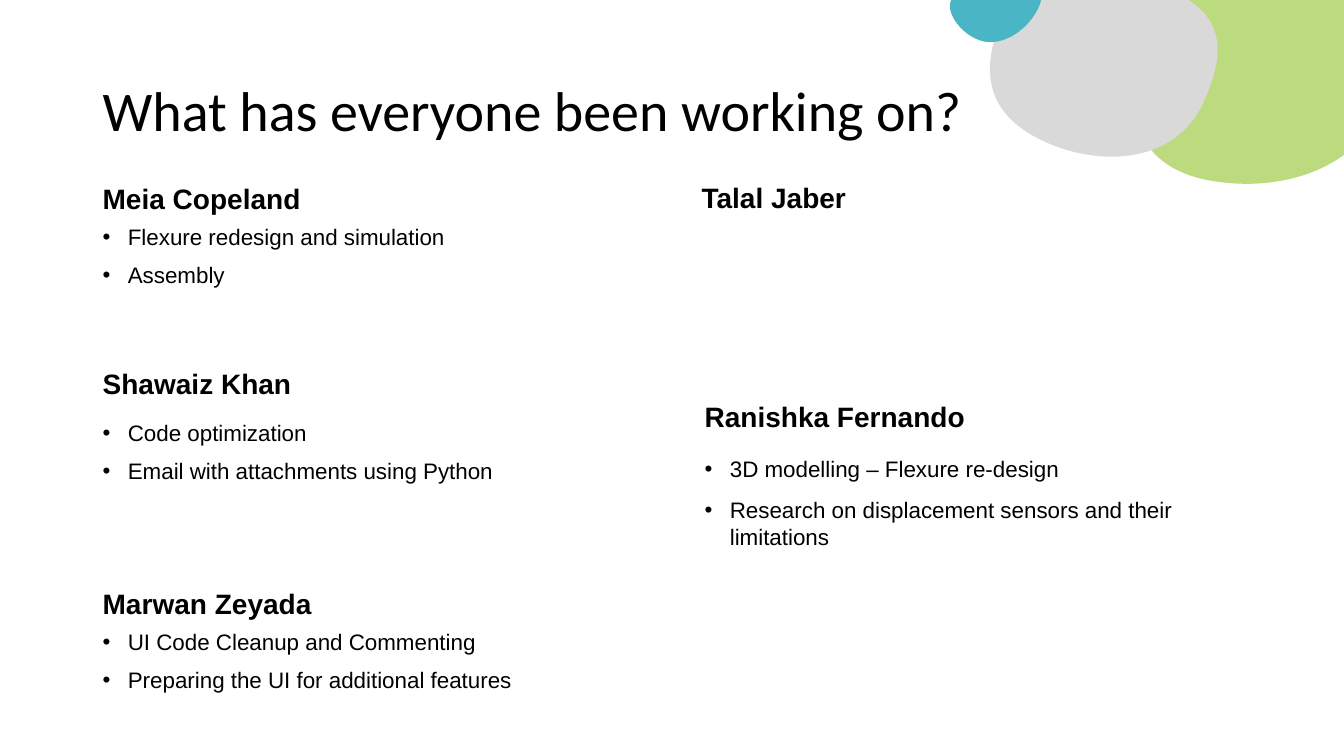
from pptx import Presentation
from pptx import util as u
from pptx.dml.color import RGBColor
from pptx.enum import text
from pptx.oxml import parse_xml
from pptx.oxml.ns import nsdecls, qn

BLACK = RGBColor(0x00, 0x00, 0x00)
GREEN = RGBColor(0xBB, 0xDB, 0x7E)
GREY = RGBColor(0xD9, 0xD9, 0xD9)
TEAL = RGBColor(0x4A, 0xB5, 0xC4)

TITLE = {"name": "Calibri", "size": u.Pt(40)}
NAME = {"name": "Arial", "size": u.Pt(20), "bold": True}
TASK = {"name": "Arial", "size": u.Pt(16)}

prs = Presentation()
prs.slide_width, prs.slide_height = u.Inches(13.33), u.Inches(7.5)
slide = prs.slides.add_slide(prs.slide_layouts[6])


def add_blob(curves, color):
    """Draw a closed outline of cubic curves, each given as two controls and an end."""
    ends = [(u.Inches(x), u.Inches(y)) for _, _, (x, y) in curves]
    fb = slide.shapes.build_freeform(*ends[-1])
    fb.add_line_segments(ends, close=True)
    sp = fb.convert_to_shape()
    sp.shadow.inherit = False
    sp.fill.solid()
    sp.fill.fore_color.rgb = color
    sp.line.fill.background()
    # Bend each straight side into its curve
    for side, curve in zip(list(sp._element.iter(qn("a:lnTo"))), curves):
        pts = "".join(f'<a:pt x="{u.Inches(x) - sp.left}" y="{u.Inches(y) - sp.top}"/>'
                      for x, y in curve)
        bezier = parse_xml(f'<a:cubicBezTo {nsdecls("a")}>{pts}</a:cubicBezTo>')
        side.getparent().replace(side, bezier)


def add_text(box, lines, font, anchor, line_spacing=0.9, space_before=10, bullets=False):
    sp = slide.shapes.add_textbox(*(u.Inches(v) for v in box))
    tf = sp.text_frame
    tf.word_wrap = True
    tf.vertical_anchor = anchor
    for i, line in enumerate(lines):
        p = tf.paragraphs[0] if i == 0 else tf.add_paragraph()
        p.line_spacing = line_spacing
        p.space_before = u.Pt(space_before)
        r = p.add_run()
        r.text = line
        for key, value in font.items():
            setattr(r.font, key, value)
        r.font.color.rgb = BLACK
        if bullets:
            pPr = p._p.get_or_add_pPr()
            pPr.set("marL", str(u.Inches(0.25)))
            pPr.set("indent", str(-u.Inches(0.25)))
            pPr.append(parse_xml(f'<a:buFont {nsdecls("a")} typeface="Arial"/>'))
            pPr.append(parse_xml(f'<a:buChar {nsdecls("a")} char="•"/>'))


# Corner blobs, back to front
add_blob([
    ((12.37, -0.47), (11.31, -0.23), (11.23, 0.52)),
    ((11.14, 1.27), (11.38, 1.73), (12.13, 1.81)),
    ((12.88, 1.9), (13.67, 1.56), (13.76, 0.81)),
    ((13.84, 0.06), (13.6, -0.22), (13.11, -0.32)),
], GREEN)
add_blob([
    ((11.16, -0.38), (10.24, -0.47), (9.97, 0.11)),
    ((9.7, 0.69), (9.77, 1.13), (10.35, 1.4)),
    ((10.93, 1.67), (11.66, 1.61), (11.93, 1.03)),
    ((12.2, 0.45), (12.08, 0.16), (11.71, -0.05)),
], GREY)
add_blob([
    ((9.38, 0.14), (9.55, 0.36), (9.75, 0.41)),
    ((10.09, 0.48), (10.39, 0.05), (10.32, -0.09)),
    ((10.24, -0.27), (9.5, -0.22), (9.43, 0.01)),
], TEAL)

# Title
add_text((0.92, 0.4, 11.5, 1.45), ["What has everyone been working on?"], TITLE,
         text.MSO_ANCHOR.MIDDLE, space_before=0)

# Members: name, left, name top, task box (top, width, height), line spacing, tasks
members = [
    ("Meia Copeland", 0.92, 1.59, (2.19, 5.64, 1.82), 0.9,
     ["Flexure redesign and simulation", "Assembly"]),
    ("Shawaiz Khan", 0.92, 3.42, (4.14, 5.64, 1.26), 0.9,
     ["Code optimization", "Email with attachments using Python"]),
    ("Marwan Zeyada", 0.92, 5.61, (6.21, 5.64, 1.26), 0.9,
     ["UI Code Cleanup and Commenting", "Preparing the UI for additional features"]),
    ("Talal Jaber", 6.86, 1.58, None, None, []),
    ("Ranishka Fernando", 6.89, 3.75, (4.47, 5.41, 1.95), 1.0,
     ["3D modelling – Flexure re-design",
      "Research on displacement sensors and their limitations"]),
]
for name, left, top, task_box, spacing, tasks in members:
    add_text((left, top, 5.64, 0.6), [name], NAME, text.MSO_ANCHOR.BOTTOM)
    if tasks:
        add_text((left, *task_box), tasks, TASK, text.MSO_ANCHOR.TOP, spacing, bullets=True)

prs.save("out.pptx")
